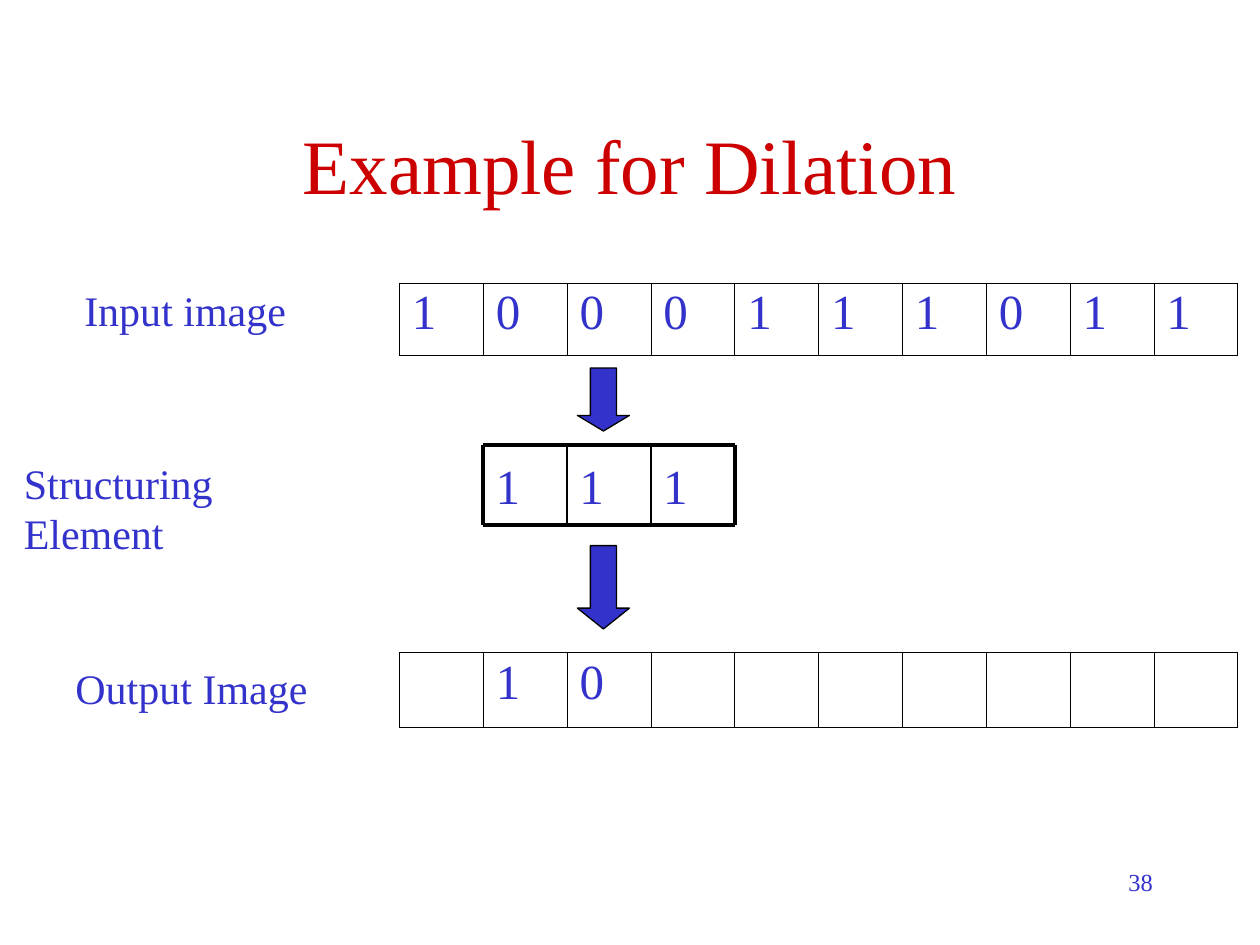
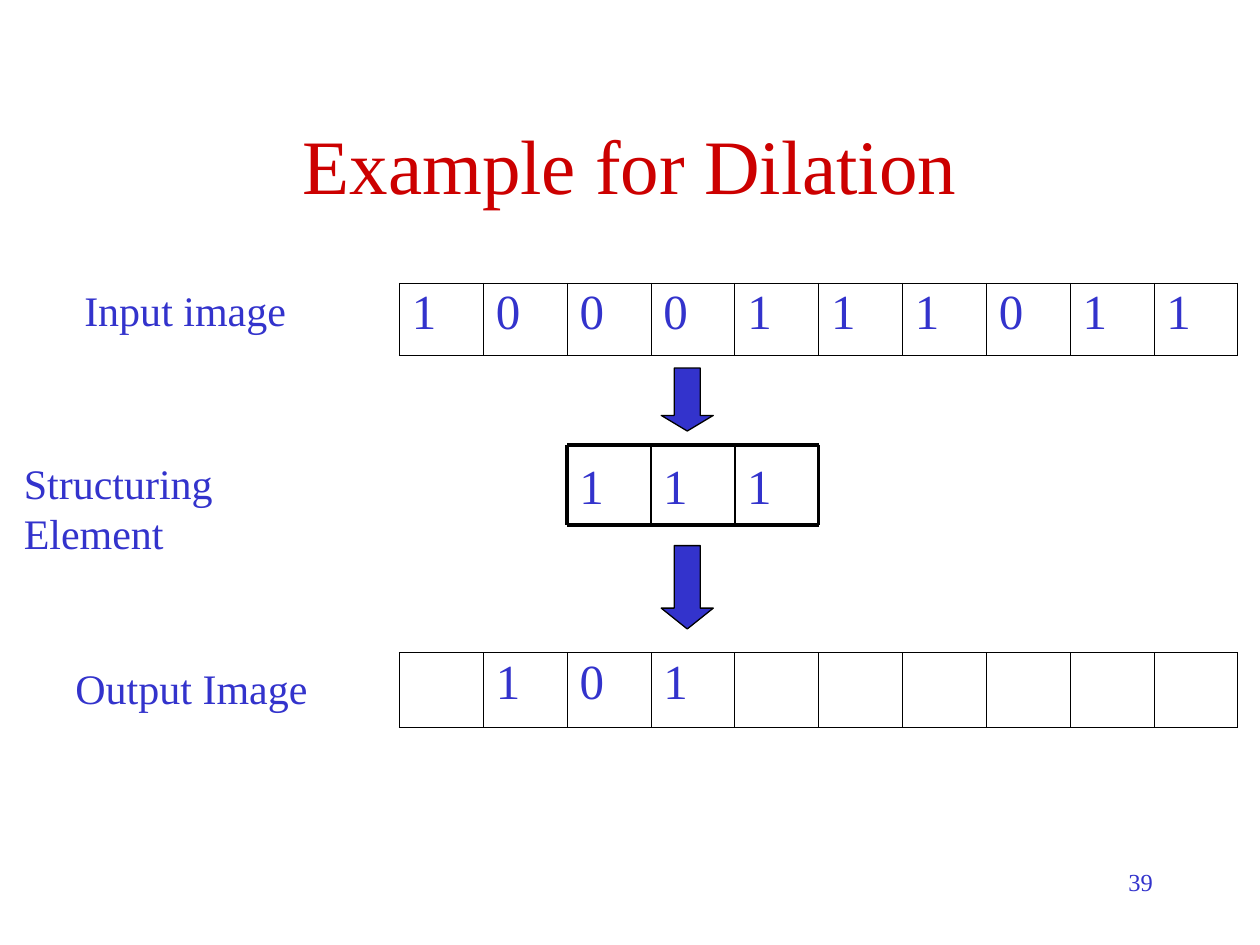
"""Build two slides that step a structuring element along a row of pixels."""
from dataclasses import dataclass

from lxml.etree import SubElement
from pptx import Presentation
from pptx.dml.color import RGBColor
from pptx.enum.shapes import MSO_CONNECTOR, MSO_SHAPE
from pptx.enum.text import MSO_ANCHOR, MSO_AUTO_SIZE, PP_ALIGN
from pptx.oxml import parse_xml
from pptx.oxml.ns import nsdecls, qn
from pptx.util import Cm, Pt


@dataclass(frozen=True)
class Theme:
    font: str = "Times New Roman"
    red: RGBColor = RGBColor(0xCC, 0x00, 0x00)
    blue: RGBColor = RGBColor(0x33, 0x33, 0xCC)
    black: RGBColor = RGBColor(0x00, 0x00, 0x00)
    title: Pt = Pt(44)
    digit: Pt = Pt(28)
    label: Pt = Pt(24)
    number: Pt = Pt(14)
    frame_line: Pt = Pt(2.25)
    divider_line: Pt = Pt(1)
    arrow_line: Pt = Pt(0.75)
    table_edge: Pt = Pt(0.5)
    table_divider: Pt = Pt(0.23)


PIXELS = [1, 0, 0, 0, 1, 1, 1, 0, 1, 1]
ELEMENT = [1, 1, 1]
CELL_WIDTH = 1.69
ROW_LEFT = 8.05
ELEMENT_TOP, ELEMENT_HEIGHT = 8.97, 1.62
LABELS = [
    ("Input image", 1.45, 5.61, 4.57),
    ("Structuring Element", 0.23, 9.09, 7.34),
    ("Output Image", 1.27, 13.23, 5.18),
]
ARROWS = [(7.42, 1.27, 0.3), (11, 1.68, 0.4)]


def set_values(target, values):
    for name, value in values.items():
        setattr(target, name, value)


class SlideBuilder:
    def __init__(self, deck, theme):
        self.deck = deck
        self.theme = theme
        self.page = None

    def add_page(self, title):
        self.page = self.deck.slides.add_slide(self.deck.slide_layouts[5])
        box = self.page.shapes.title
        set_values(box, {"left": Cm(1.9), "top": Cm(1.7),
                         "width": Cm(21.6), "height": Cm(3.18)})
        set_values(box.text_frame, {"vertical_anchor": MSO_ANCHOR.MIDDLE,
                                    "auto_size": MSO_AUTO_SIZE.NONE})
        self.fill_frame(box.text_frame, title, self.theme.title, self.theme.red,
                        alignment=PP_ALIGN.CENTER)

    def fill_frame(self, frame, text, size, color=None, **paragraph_format):
        para = frame.paragraphs[0]
        set_values(para, paragraph_format)
        span = para.add_run()
        span.text = str(text)
        set_values(span.font, {"name": self.theme.font, "size": size})
        span.font.color.rgb = color or self.theme.blue

    def add_text(self, shapes, text, area, size, frame_format, **paragraph_format):
        box = shapes.add_textbox(*map(Cm, area))
        set_values(box.text_frame, {"word_wrap": True, **frame_format})
        self.fill_frame(box.text_frame, text, size, **paragraph_format)

    def add_label(self, text, left, top, width):
        self.add_text(self.page.shapes, text, (left, top, width, 1.27), self.theme.label,
                      {"word_wrap": False, "auto_size": MSO_AUTO_SIZE.SHAPE_TO_FIT_TEXT})

    def add_number(self, number):
        self.add_text(self.page.shapes, number, (18.2, 17.35, 5.29, 1.27),
                      self.theme.number, {}, alignment=PP_ALIGN.RIGHT)

    def add_border(self, cell, position, side, width):
        properties = cell._tc.get_or_add_tcPr()
        border = parse_xml(f'<a:{side} {nsdecls("a")} w="{int(width)}"><a:solidFill>'
                           f'<a:srgbClr val="{self.theme.black}"/></a:solidFill></a:{side}>')
        properties.insert(position, border)

    def add_pixel_row(self, values, top, height):
        count = len(values)
        table = self.page.shapes.add_table(1, count, Cm(ROW_LEFT), Cm(top),
                                           Cm(CELL_WIDTH * count), Cm(height)).table
        set_values(table, {"first_row": False, "horz_banding": False})
        edge, divider = self.theme.table_edge, self.theme.table_divider
        for index, value in enumerate(values):
            table.columns[index].width = Cm(CELL_WIDTH)
            cell = table.cell(0, index)
            cell.fill.background()
            widths = {"lnL": edge if index == 0 else divider,
                      "lnR": edge if index == count - 1 else divider,
                      "lnT": edge, "lnB": edge}
            for position, (side, width) in enumerate(widths.items()):
                self.add_border(cell, position, side, width)
            if value is not None:
                self.fill_frame(cell.text_frame, value, self.theme.digit, line_spacing=0.93)

    def add_line(self, shapes, start, end, width):
        line = shapes.add_connector(MSO_CONNECTOR.STRAIGHT, *map(Cm, start + end))
        line.line.color.rgb = self.theme.black
        line.line.width = width
        SubElement(line._element.spPr, qn("a:effectLst"))

    def add_structuring_element(self, left):
        shapes = self.page.shapes.add_group_shape().shapes
        bottom = ELEMENT_TOP + ELEMENT_HEIGHT
        edges = [left + CELL_WIDTH * index for index in range(len(ELEMENT) + 1)]
        for value, edge in zip(ELEMENT, edges):
            self.add_text(shapes, value, (edge, ELEMENT_TOP, CELL_WIDTH, ELEMENT_HEIGHT),
                          self.theme.digit, {"vertical_anchor": MSO_ANCHOR.MIDDLE})
        for level in (ELEMENT_TOP, bottom):
            self.add_line(shapes, (left, level), (edges[-1], level), self.theme.frame_line)
        for edge in edges:
            outer = edge in (edges[0], edges[-1])
            width = self.theme.frame_line if outer else self.theme.divider_line
            self.add_line(shapes, (edge, ELEMENT_TOP), (edge, bottom), width)

    def add_arrow(self, left, top, height, head):
        arrow = self.page.shapes.add_shape(MSO_SHAPE.DOWN_ARROW, Cm(left), Cm(top),
                                           Cm(1.05), Cm(height))
        arrow.adjustments[0] = 0.5
        arrow.adjustments[1] = head
        arrow.shadow.inherit = False
        arrow.fill.solid()
        arrow.fill.fore_color.rgb = self.theme.blue
        arrow.line.color.rgb = self.theme.black
        arrow.line.width = self.theme.arrow_line


def dilate(last_center):
    """Return the output row, filled from the second pixel to last_center."""
    return [max(PIXELS[center - 1:center + 2]) if 1 <= center <= last_center else None
            for center in range(len(PIXELS))]


def main():
    deck = Presentation()
    set_values(deck, {"slide_width": Cm(25.4), "slide_height": Cm(19.05)})
    builder = SlideBuilder(deck, Theme())
    for number, center in ((38, 2), (39, 3)):
        element_left = ROW_LEFT + CELL_WIDTH * (center - 1)
        builder.add_page("Example for Dilation")
        builder.add_number(number)
        builder.add_pixel_row(PIXELS, 5.71, 1.45)
        builder.add_pixel_row(dilate(center), 13.16, 1.5)
        for label in LABELS:
            builder.add_label(*label)
        builder.add_structuring_element(element_left)
        for arrow in ARROWS:
            builder.add_arrow(element_left + 1.9, *arrow)
    deck.save("out.pptx")


if __name__ == "__main__":
    main()
